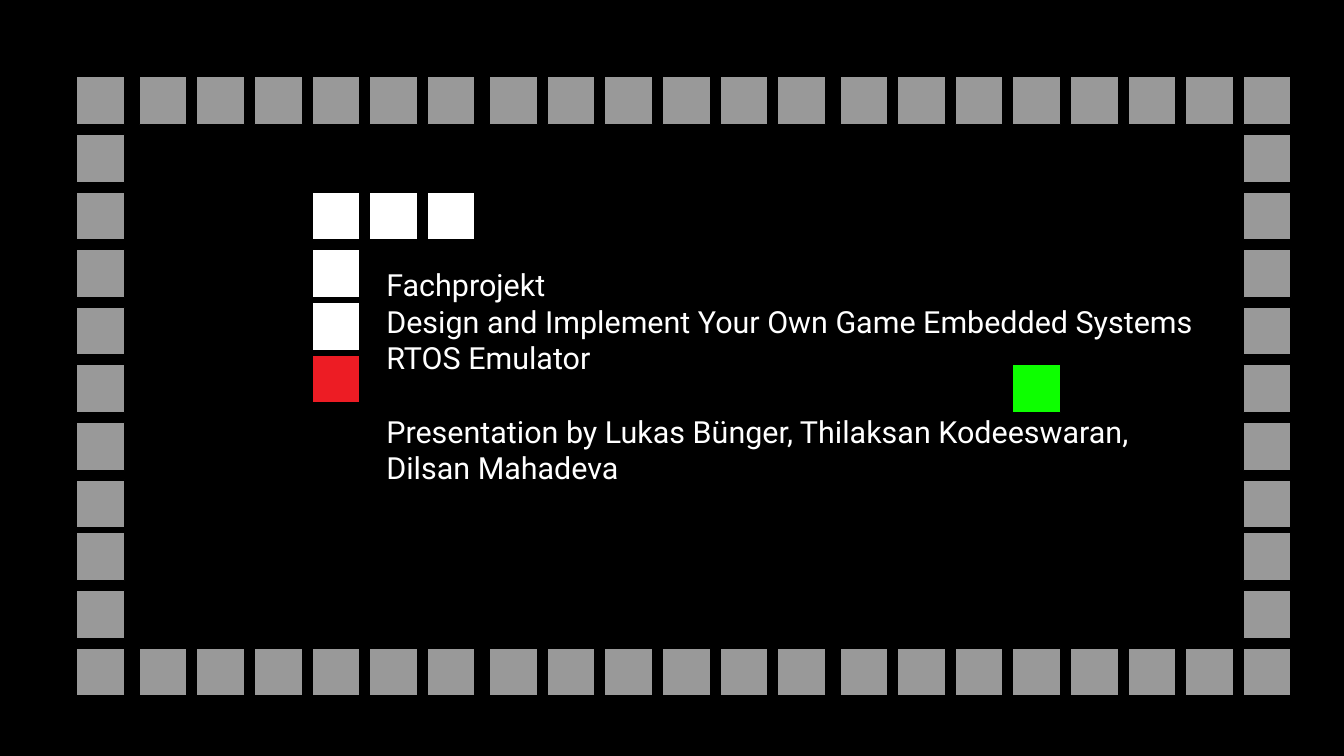
import pptx
import pptx.util
import pptx.dml.color
import pptx.enum.shapes
import pptx.enum.text

Cm, Pt = pptx.util.Cm, pptx.util.Pt
RGB = pptx.dml.color.RGBColor

BLACK = RGB(0x00, 0x00, 0x00)
GREY = RGB(0x99, 0x99, 0x99)
WHITE = RGB(0xFF, 0xFF, 0xFF)
RED = RGB(0xED, 0x1C, 0x24)
GREEN = RGB(0x0D, 0xFF, 0x00)

COLS, ROWS = 21, 11


def col_x(col):
    """Left edge in cm; the gap is wider before columns 1, 7 and 13."""
    return 1.6 + 1.2 * col + 0.1 * sum(col >= c for c in (1, 7, 13))


def row_y(row):
    """Top edge in cm; the gap is narrower before row 8."""
    return 1.6 + 1.2 * row - 0.1 * (row >= 8)


class Board:
    def __init__(self, deck):
        self.slide = deck.slides.add_slide(deck.slide_layouts[6])
        fill = self.slide.background.fill
        fill.solid()
        fill.fore_color.rgb = BLACK
        self.font = {"name": "Roboto", "size": Pt(18)}

    def cell(self, x, y, color):
        kind = pptx.enum.shapes.MSO_SHAPE.RECTANGLE
        cell = self.slide.shapes.add_shape(kind, Cm(x), Cm(y), Cm(1), Cm(1))
        cell.shadow.inherit = False
        cell.fill.solid()
        cell.fill.fore_color.rgb = color
        cell.line.color.rgb = BLACK
        cell.line.width = Pt(0)

    def text(self, x, y, w, h, lines):
        """Each line is a pair: wording and space before in points."""
        box = self.slide.shapes.add_textbox(Cm(x), Cm(y), Cm(w), Cm(h))
        frame = box.text_frame
        style = {
            "word_wrap": False,
            "auto_size": pptx.enum.text.MSO_AUTO_SIZE.SHAPE_TO_FIT_TEXT,
            "vertical_anchor": pptx.enum.text.MSO_ANCHOR.MIDDLE,
        }
        for key, value in style.items():
            setattr(frame, key, value)
        for i, (words, space) in enumerate(lines):
            para = frame.add_paragraph() if i else frame.paragraphs[0]
            if space:
                para.space_before = Pt(space)
            run = para.add_run()
            run.text = words
            for key, value in self.font.items():
                setattr(run.font, key, value)
            run.font.color.rgb = WHITE


def main():
    deck = pptx.Presentation()
    deck.slide_width, deck.slide_height = Cm(28), Cm(15.75)
    board = Board(deck)

    # Wall around the field
    for row in range(ROWS):
        for col in range(COLS):
            if row in (0, ROWS - 1) or col in (0, COLS - 1):
                board.cell(col_x(col), row_y(row), GREY)

    # Snake with its red head, then the green food
    for col in (4, 5, 6):
        board.cell(col_x(col), row_y(2), WHITE)
    for y, color in ((row_y(3), WHITE), (6.3, WHITE), (7.4, RED)):
        board.cell(col_x(4), y, color)
    board.cell(col_x(16), row_y(5), GREEN)

    # Title and authors
    board.text(7.8, 5.5, 17.72, 4.67, [
        ("Fachprojekt", 0),
        ("Design and Implement Your Own Game Embedded Systems", 0),
        ("RTOS Emulator", 0),
        ("Presentation by Lukas Bünger, Thilaksan Kodeeswaran,", 21.6),
        ("Dilsan Mahadeva", 0),
    ])

    deck.save("out.pptx")


if __name__ == "__main__":
    main()
